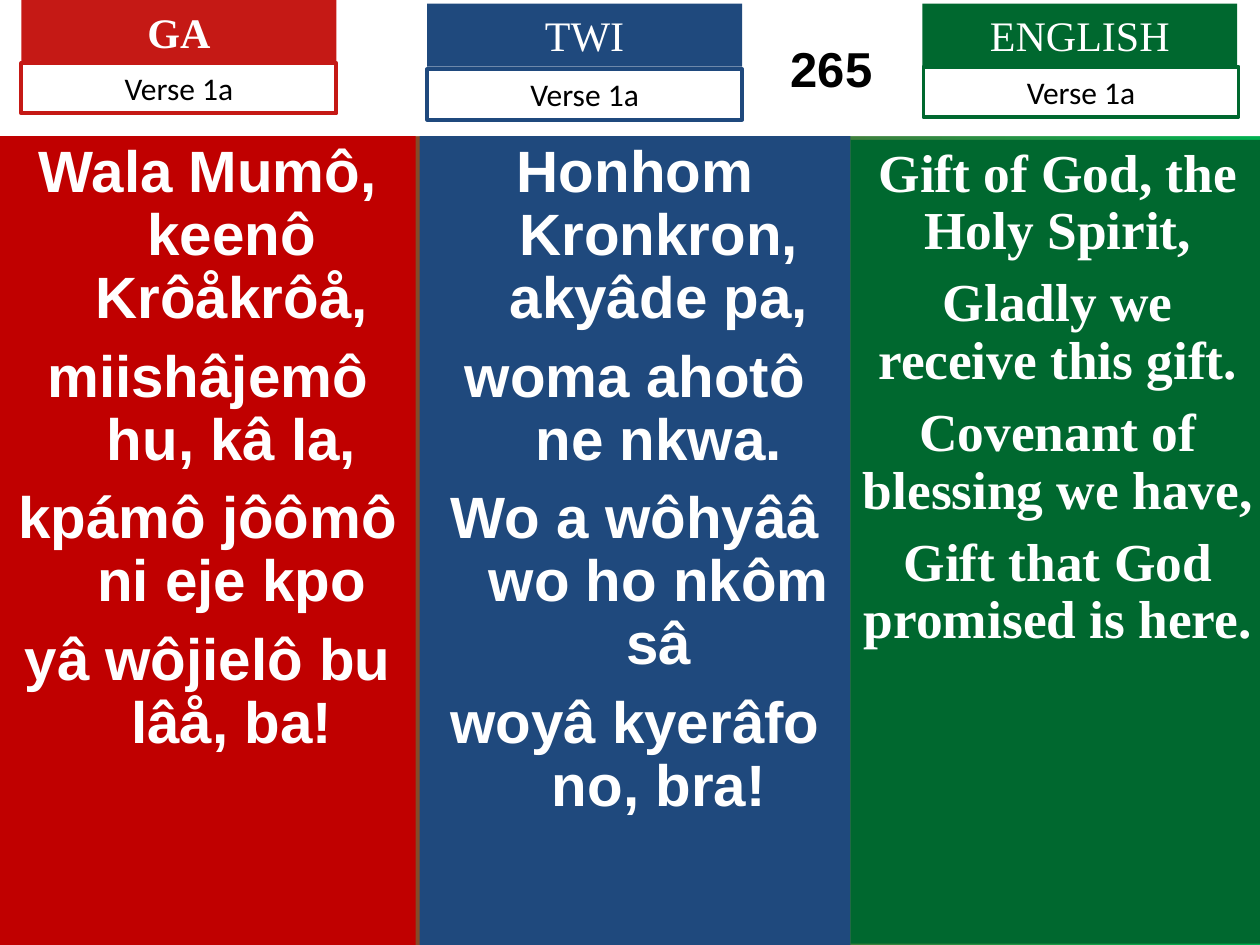
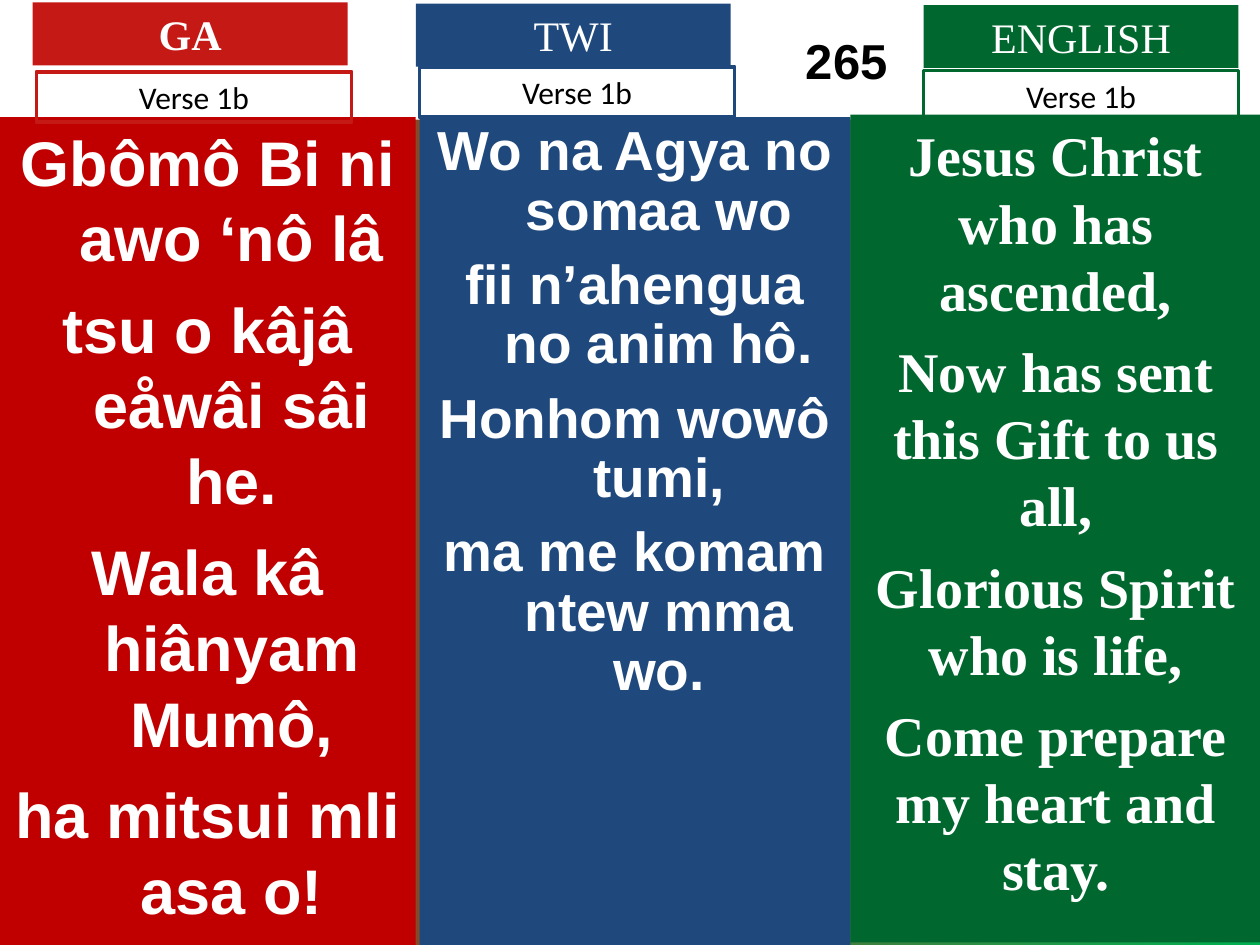
from dataclasses import dataclass

import pptx
import pptx.dml.color
import pptx.enum.text
import pptx.util

COLUMNS, ROWS = 10, 15
COLUMN = pptx.util.Inches(10) // COLUMNS
ROW = pptx.util.Inches(7.5) // ROWS


@dataclass(frozen=True)
class Theme:
    white: str = "FFFFFF"
    black: str = "000000"
    sky_start: str = "C51915"
    sky_end: str = "00B050"
    sans: str = "Arial"
    serif: str = "Times New Roman"
    label: str = "Calibri"
    number_size: float = 28
    heading_size: float = 24
    verse_size: float = 18
    border: float = 2.25


THEME = Theme()


@dataclass(frozen=True)
class Language:
    name: str
    panel_color: str
    heading_color: str
    lyric_font: str
    panel_left: float
    hanging: float = 0
    bold_heading: bool = False


GA = Language("GA", "C00000", "C51915", THEME.sans, 0, 0.38, True)
TWI = Language("TWI", "1F497D", "1F497D", THEME.sans, 3.33, 0.38)
ENGLISH = Language("ENGLISH", "00682F", "00682F", THEME.serif, 6.75)


@dataclass(frozen=True)
class Stanza:
    """One language's part of a page; lefts and widths in columns, tops in rows."""
    language: Language
    lines: tuple
    size: float
    spacing: float
    gap: float
    panel_top: float
    panel_width: float
    panel_bottom: float
    heading_at: tuple
    verse_at: tuple


VERSE_1A = (
    Stanza(GA, ("Wala Mumô, keenô Krôåkrôå,", "miishâjemô hu, kâ la,",
                "kpámô jôômô ni eje kpo", "yâ wôjielô bu lâå, ba!"),
           33.3, 0.9, 9, 2.16, 3.3, 15, (0.17, 0), (0.17, 1)),
    Stanza(TWI, ("Honhom Kronkron, akyâde pa,", "woma ahotô ne nkwa.",
                 "Wo a wôhyââ wo ho nkôm sâ", "woyâ kyerâfo no, bra!"),
           33.3, 0.9, 9, 2.16, 3.42, 15, (3.39, 0.06), (3.39, 1.1)),
    Stanza(ENGLISH, ("Gift of God, the Holy Spirit,", "Gladly we receive this gift.",
                     "Covenant of blessing we have,", "Gift that God promised is here."),
           30.5, 0.9, 8.2, 2.22, 3.29, 14.98, (7.32, 0.06), (7.33, 1.06)),
)

VERSE_1B = (
    Stanza(GA, ("Gbômô Bi ni awo ‘nô lâ", "tsu o kâjâ eåwâi sâi he.",
                "Wala kâ hiânyam Mumô,", "ha mitsui mli asa o!"),
           36, 1.0, 9, 1.86, 3.3, 15, (0.26, 0.04), (0.29, 1.14)),
    Stanza(TWI, ("Wo na Agya no somaa wo", "fii n’ahengua no anim hô.",
                 "Honhom wowô tumi,", "ma me komam ntew mma wo."),
           31.4, 0.9, 8.5, 1.86, 3.42, 15, (3.3, 0.06), (3.33, 1.06)),
    Stanza(ENGLISH, ("Jesus Christ who has ascended,", "Now has sent this Gift to us all,",
                     "Glorious Spirit who is life,", "Come prepare my heart and stay."),
           32, 1.0, 8, 1.82, 3.26, 14.96, (7.33, 0.08), (7.33, 1.12)),
)


def rgb(color):
    return pptx.dml.color.RGBColor.from_string(color)


def place(box, left, top, width, height):
    box.left, box.width = round(left * COLUMN), round(width * COLUMN)
    box.top, box.height = round(top * ROW), round(height * ROW)


def paint(box, color):
    box.fill.solid()
    box.fill.fore_color.rgb = rgb(color)


def style(para, font, size, color, bold=False):
    para.alignment = pptx.enum.text.PP_ALIGN.CENTER
    para.font.name = font
    para.font.size = pptx.util.Pt(size)
    para.font.bold = bold
    para.font.color.rgb = rgb(color)


def add_box(page, left, top, width, height):
    box = page.shapes.add_textbox(0, 0, 0, 0)
    place(box, left, top, width, height)
    box.text_frame.word_wrap = True
    return box


def add_panel(page, stanza):
    language = stanza.language
    box = add_box(page, language.panel_left, stanza.panel_top,
                  stanza.panel_width, stanza.panel_bottom - stanza.panel_top)
    paint(box, language.panel_color)
    frame = box.text_frame
    frame.text = "\n".join(stanza.lines)
    for index, para in enumerate(frame.paragraphs):
        if language.hanging:
            indent = pptx.util.Inches(language.hanging)
            properties = para._p.get_or_add_pPr()
            properties.set("marL", str(indent))
            properties.set("indent", str(-indent))
        para.line_spacing = stanza.spacing
        para.space_before = pptx.util.Pt(stanza.gap if index else 0)
        style(para, language.lyric_font, stanza.size, THEME.white, True)


def add_heading(page, stanza):
    language = stanza.language
    box = add_box(page, *stanza.heading_at, 2.5, 1)
    paint(box, language.heading_color)
    box.text_frame.text = language.name
    style(box.text_frame.paragraphs[0], THEME.serif, THEME.heading_size,
          THEME.white, language.bold_heading)


def add_verse_label(page, stanza, verse):
    box = add_box(page, *stanza.verse_at, 2.5, 0.8)
    box.line.color.rgb = rgb(stanza.language.heading_color)
    box.line.width = pptx.util.Pt(THEME.border)
    box.text_frame.text = verse
    style(box.text_frame.paragraphs[0], THEME.label, THEME.verse_size, THEME.black)


def set_background(page):
    fill = page.background.fill
    fill.gradient()
    fill.gradient_angle = 0
    for stop, color, position in zip(fill.gradient_stops,
                                     (THEME.sky_start, THEME.sky_end), (0, 1)):
        stop.color.rgb = rgb(color)
        stop.position = position


def set_hymn_number(page, number, height, center):
    """Centre the number in the title band on the given column."""
    title = page.shapes.title
    place(title, 0, 0, COLUMNS, height)
    paint(title, THEME.white)
    frame = title.text_frame
    frame.vertical_anchor = pptx.enum.text.MSO_ANCHOR.MIDDLE
    frame.margin_left = round((2 * center - COLUMNS) * COLUMN)
    frame.margin_right = 0
    frame.text = number
    style(frame.paragraphs[0], THEME.sans, THEME.number_size, THEME.black, True)


def add_page(deck, verse, stanzas, band_height, number_center):
    page = deck.slides.add_slide(deck.slide_layouts[5])
    set_background(page)
    set_hymn_number(page, "265", band_height, number_center)
    for stanza in stanzas:
        add_panel(page, stanza)
        add_heading(page, stanza)
        add_verse_label(page, stanza, verse)


def main():
    deck = pptx.Presentation()
    deck.slide_width, deck.slide_height = COLUMNS * COLUMN, ROWS * ROW
    add_page(deck, "Verse 1a", VERSE_1A, 2.16, 6.6)
    add_page(deck, "Verse 1b", VERSE_1B, 1.9, 6.72)
    deck.save("out.pptx")


if __name__ == "__main__":
    main()
